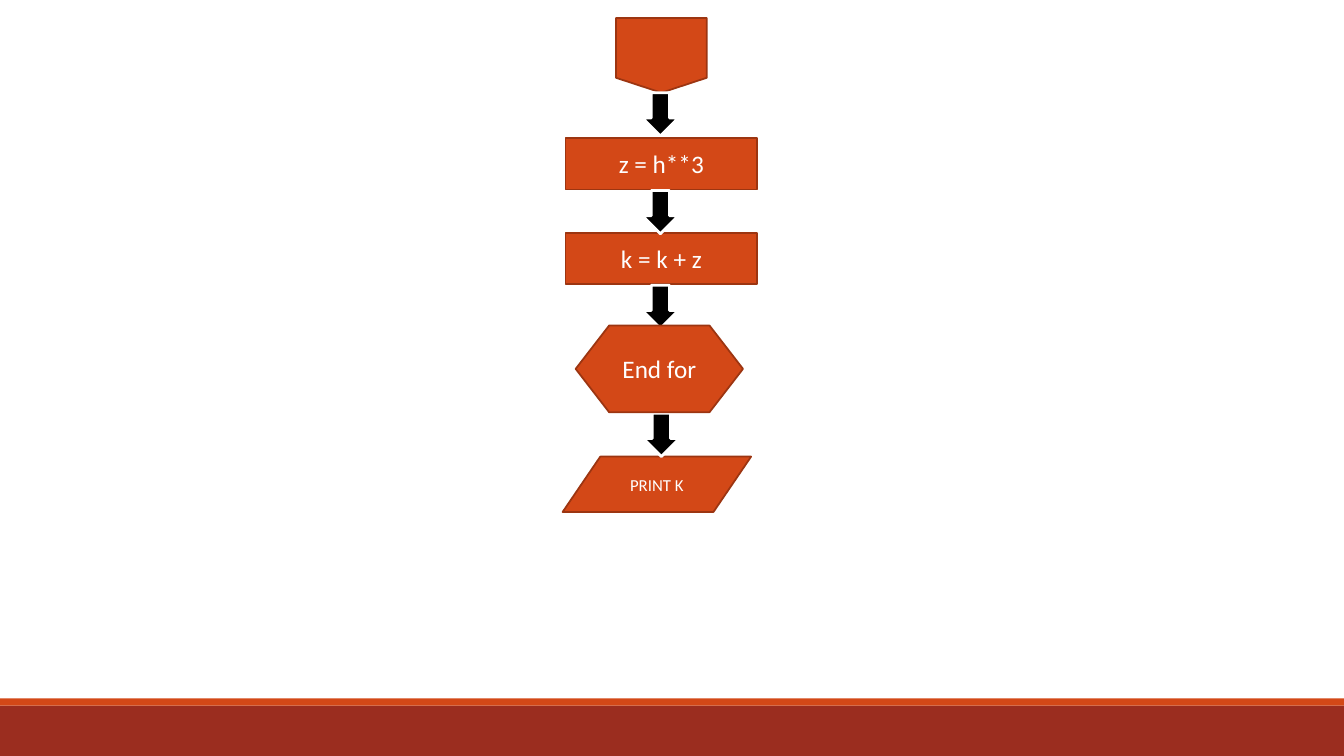
from pptx import Presentation
from pptx.dml.color import RGBColor as Rgb
from pptx.enum.shapes import MSO_SHAPE as Kind
from pptx.enum.text import MSO_ANCHOR as Anchor, PP_ALIGN as Align
from pptx.util import Inches, Pt

HUES = {
    "band": "9B2D1F",
    "node": "D34817",
    "edge": "9C3511",
    "arrow": "000000",
    "white": "FFFFFF",
}


def hue(name):
    """Return the named colour."""
    return Rgb.from_string(HUES[name])


def add_form(slide, kind, box, fill, edge=None, width=1.25):
    """Add a flat filled shape, outlined when an edge colour is given."""
    form = slide.shapes.add_shape(kind, *map(Inches, box))
    form.shadow.inherit = False
    form.fill.solid()
    form.fill.fore_color.rgb = hue(fill)
    if edge:
        form.line.color.rgb = hue(edge)
        form.line.width = Pt(width)
    else:
        form.line.fill.background()
    return form


def add_node(slide, kind, box, text="", size=18):
    """Add a flowchart step with an optional centred label."""
    node = add_form(slide, kind, box, "node", "edge")
    if text:
        frame = node.text_frame
        frame.word_wrap = True
        frame.vertical_anchor = Anchor.MIDDLE
        frame.text = text
        line = frame.paragraphs[0]
        line.alignment = Align.CENTER
        font = line.runs[0].font
        font.name = "Calibri"
        font.size = Pt(size)
        font.color.rgb = hue("white")


def add_arrow(slide, top, left=6.37):
    """Add a block arrow that points down to the next step."""
    box = (left, top, 0.36, 0.43)
    add_form(slide, Kind.DOWN_ARROW, box, "arrow", "white", 2)


def add_step(slide, top, text):
    """Add a process box on the main column."""
    add_node(slide, Kind.RECTANGLE, (5.61, top, 1.9, 0.51), text)


def main():
    """Build the loop flowchart slide."""
    deck = Presentation()
    deck.slide_width, deck.slide_height = Inches(13.33), Inches(7.5)
    slide = deck.slides.add_slide(deck.slide_layouts[6])

    add_form(slide, Kind.RECTANGLE, (0, 7, 13.33, 0.5), "band")
    add_form(slide, Kind.RECTANGLE, (0, 6.93, 13.33, 0.07), "node")

    add_node(slide, Kind.FLOWCHART_OFFPAGE_CONNECTOR, (6.11, 0.18, 0.9, 0.74))
    add_arrow(slide, 0.92)
    add_step(slide, 1.37, "z = h**3")
    add_step(slide, 2.31, "k = k + z")
    add_arrow(slide, 1.89)
    add_arrow(slide, 2.83)
    add_node(slide, Kind.FLOWCHART_DATA, (5.58, 4.53, 1.87, 0.55), "PRINT K", 12)
    add_arrow(slide, 4.1, 6.38)
    add_node(slide, Kind.FLOWCHART_PREPARATION, (5.71, 3.23, 1.66, 0.86), "End for")

    deck.save("out.pptx")


main()
